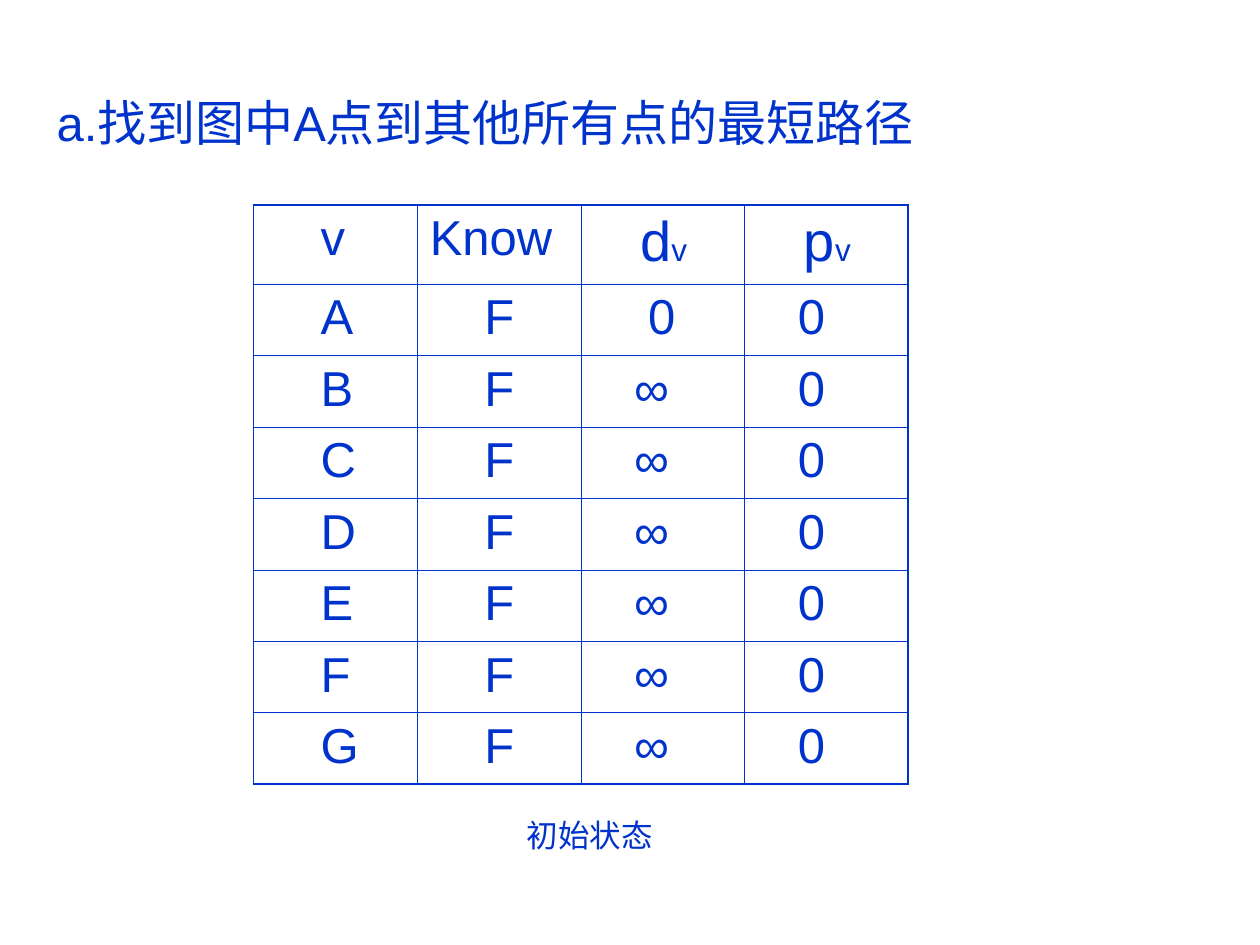
import pptx
import pptx.dml.color
import pptx.enum.text
import pptx.oxml
import pptx.oxml.ns
import pptx.util
from pptx.util import Cm, Pt

BLUE = pptx.dml.color.RGBColor(0x00, 0x33, 0xCC)
FONT = "Arial"
INNER_LINE, OUTER_LINE = Pt(0.45), Pt(1.08)
COLUMN_WIDTH, HEADER_HEIGHT, ROW_HEIGHT = Cm(3.3), Cm(1.6), Cm(1.44)
VERTICES = "ABCDEFG"
NARROW_INDENT, WIDE_INDENT = Cm(0.82), Cm(1.1)


def style_paragraph(paragraph, size=None, indent=0):
    """Set the font and the left indent of a paragraph."""
    if indent:
        paragraph._p.get_or_add_pPr().set("marL", str(indent))
    paragraph.alignment = pptx.enum.text.PP_ALIGN.LEFT
    paragraph.font.name = FONT
    paragraph.font.color.rgb = BLUE
    if size:
        paragraph.font.size = Pt(size)


def add_title(slide, wording):
    """Place and format the title placeholder."""
    title = slide.shapes.title
    title.left, title.top, title.width, title.height = Cm(0.89), Cm(1.73), Cm(22.83), Cm(1.88)
    frame = title.text_frame
    frame.text = wording
    frame.auto_size = pptx.enum.text.MSO_AUTO_SIZE.NONE
    frame.vertical_anchor = pptx.enum.text.MSO_ANCHOR.TOP
    style_paragraph(frame.paragraphs[0], 28)


def add_caption(slide, wording):
    """Add the caption below the table."""
    caption = slide.shapes.add_textbox(Cm(7.11), Cm(16.33), Cm(10.21), Cm(1.02))
    caption.text_frame.word_wrap = True
    caption.text_frame.text = wording
    style_paragraph(caption.text_frame.paragraphs[0], 18, Cm(3.26))


def set_borders(cell, outer_sides):
    """Draw the four cell borders, heavier on the outer sides."""
    properties = cell._tc.get_or_add_tcPr()
    for side in "LRTB":
        width = OUTER_LINE if side in outer_sides else INNER_LINE
        properties.append(pptx.oxml.parse_xml(
            f'<a:ln{side} {pptx.oxml.ns.nsdecls("a")} w="{width}">'
            f'<a:solidFill><a:srgbClr val="{BLUE}"/></a:solidFill></a:ln{side}>'))


def fill_cell(cell, wording, indent):
    """Write plain text into a cell."""
    cell.text = wording
    style_paragraph(cell.text_frame.paragraphs[0], 28, indent)


def fill_symbol(cell, symbol, index):
    """Write a large symbol followed by a small index."""
    paragraph = cell.text_frame.paragraphs[0]
    for wording, size in ((symbol, 32), (index, 18)):
        run = paragraph.add_run()
        run.text = wording
        run.font.size = Pt(size)
    style_paragraph(paragraph, indent=Cm(0.94))


def add_state_table(slide):
    """Add the table of vertex states before the first step."""
    row_count, column_count = len(VERTICES) + 1, 4
    table = slide.shapes.add_table(
        row_count, column_count, Cm(5.11), Cm(4.13), COLUMN_WIDTH * column_count,
        HEADER_HEIGHT + ROW_HEIGHT * len(VERTICES)).table
    table.first_row = table.horz_banding = False
    for column in table.columns:
        column.width = COLUMN_WIDTH
    for r, row in enumerate(table.rows):
        row.height = ROW_HEIGHT if r else HEADER_HEIGHT
        for c, cell in enumerate(row.cells):
            edges = {"L": c == 0, "R": c == column_count - 1, "T": r == 0, "B": r == row_count - 1}
            set_borders(cell, [side for side, is_outer in edges.items() if is_outer])
            cell.fill.background()

    fill_cell(table.cell(0, 0), "v", WIDE_INDENT)
    fill_cell(table.cell(0, 1), "Know", 0)
    fill_symbol(table.cell(0, 2), "d", "v")
    fill_symbol(table.cell(0, 3), "p", "v")
    for r, vertex in enumerate(VERTICES, 1):
        distance = ("0", WIDE_INDENT) if vertex == "A" else ("∞", NARROW_INDENT)
        state = ((vertex, WIDE_INDENT), ("F", WIDE_INDENT), distance, ("0", NARROW_INDENT))
        for c, (wording, indent) in enumerate(state):
            fill_cell(table.cell(r, c), wording, indent)


def main():
    """Build the slide and save it."""
    presentation = pptx.Presentation()
    presentation.slide_width, presentation.slide_height = Cm(25.4), Cm(19.05)
    slide = presentation.slides.add_slide(presentation.slide_layouts[5])
    add_title(slide, "a.找到图中A点到其他所有点的最短路径")
    add_state_table(slide)
    add_caption(slide, "初始状态")
    presentation.save("out.pptx")


if __name__ == "__main__":
    main()
